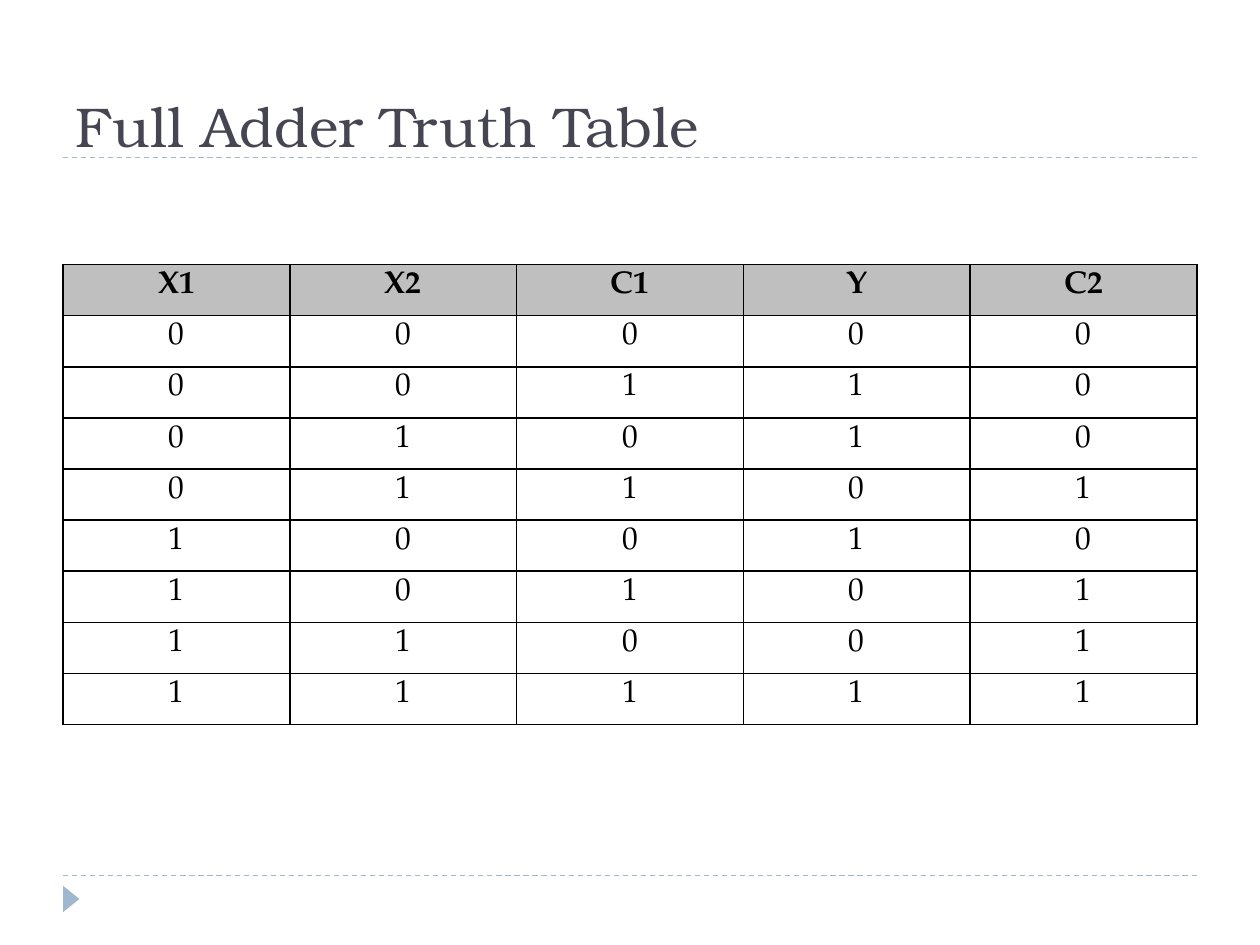
"""Build the full adder truth table slide."""
from itertools import product
from lxml import etree
from pptx import Presentation, util as u
from pptx.dml.color import RGBColor
from pptx.enum import dml, shapes, text
from pptx.oxml import ns

BLACK = RGBColor(0x00, 0x00, 0x00)
GREY = RGBColor(0xBF, 0xBF, 0xBF)
BLUE = RGBColor(0x9F, 0xB8, 0xCD)
SLATE = RGBColor(0x46, 0x46, 0x53)

deck = Presentation()
deck.slide_width, deck.slide_height = u.Inches(10), u.Inches(7.5)
slide = deck.slides.add_slide(deck.slide_layouts[6])
left, wide = u.Inches(0.5), u.Inches(9)

for y in (6.95, 1.25):
    rule = slide.shapes.add_connector(
        shapes.MSO_CONNECTOR.STRAIGHT, left, u.Inches(y), left + wide, u.Inches(y))
    rule.line.color.rgb = BLUE
    rule.line.width = u.Pt(0.75)
    rule.line.dash_style = dml.MSO_LINE.DASH
    etree.SubElement(rule._element.spPr, ns.qn("a:effectLst"))

mark = slide.shapes.add_shape(
    shapes.MSO_SHAPE.ISOSCELES_TRIANGLE,
    u.Inches(0.46), u.Inches(7.07), u.Inches(0.21), u.Inches(0.13))
mark.rotation = 90
mark.shadow.inherit = False
mark.fill.solid()
mark.fill.fore_color.rgb = BLUE
mark.line.fill.background()

title = slide.shapes.add_textbox(left, u.Inches(0.23), wide, u.Inches(1.08)).text_frame
title.word_wrap = True
title.vertical_anchor = text.MSO_ANCHOR.BOTTOM
head = title.paragraphs[0]
head.text = "Full Adder Truth Table"
head.font.name = "TeX Gyre Bonum"
head.font.size = u.Pt(32)
head.font.color.rgb = SLATE

rows = [("X1", "X2", "C1", "Y", "C2")]
for bits in product((0, 1), repeat=3):
    carry, total = divmod(sum(bits), 2)
    rows.append((*bits, total, carry))

table = slide.shapes.add_table(
    len(rows), len(rows[0]), left, u.Inches(2.1), wide, u.Inches(3.65)).table
table.horz_banding = False
for r, row in enumerate(rows):
    for c, value in enumerate(row):
        cell = table.cell(r, c)
        props = cell._tc.get_or_add_tcPr()
        for side in ("lnL", "lnR", "lnT", "lnB"):
            edge = etree.SubElement(props, ns.qn("a:" + side), w=str(u.Pt(1)))
            fill = etree.SubElement(edge, ns.qn("a:solidFill"))
            etree.SubElement(fill, ns.qn("a:srgbClr"), val=str(BLACK))
        if r == 0:
            cell.fill.solid()
            cell.fill.fore_color.rgb = GREY
        else:
            cell.fill.background()
        para = cell.text_frame.paragraphs[0]
        para.text = str(value)
        para.alignment = text.PP_ALIGN.CENTER
        para.font.name = "TeX Gyre Pagella"
        para.font.size = u.Pt(18)
        para.font.bold = r == 0
        para.font.color.rgb = BLACK

deck.save("out.pptx")
